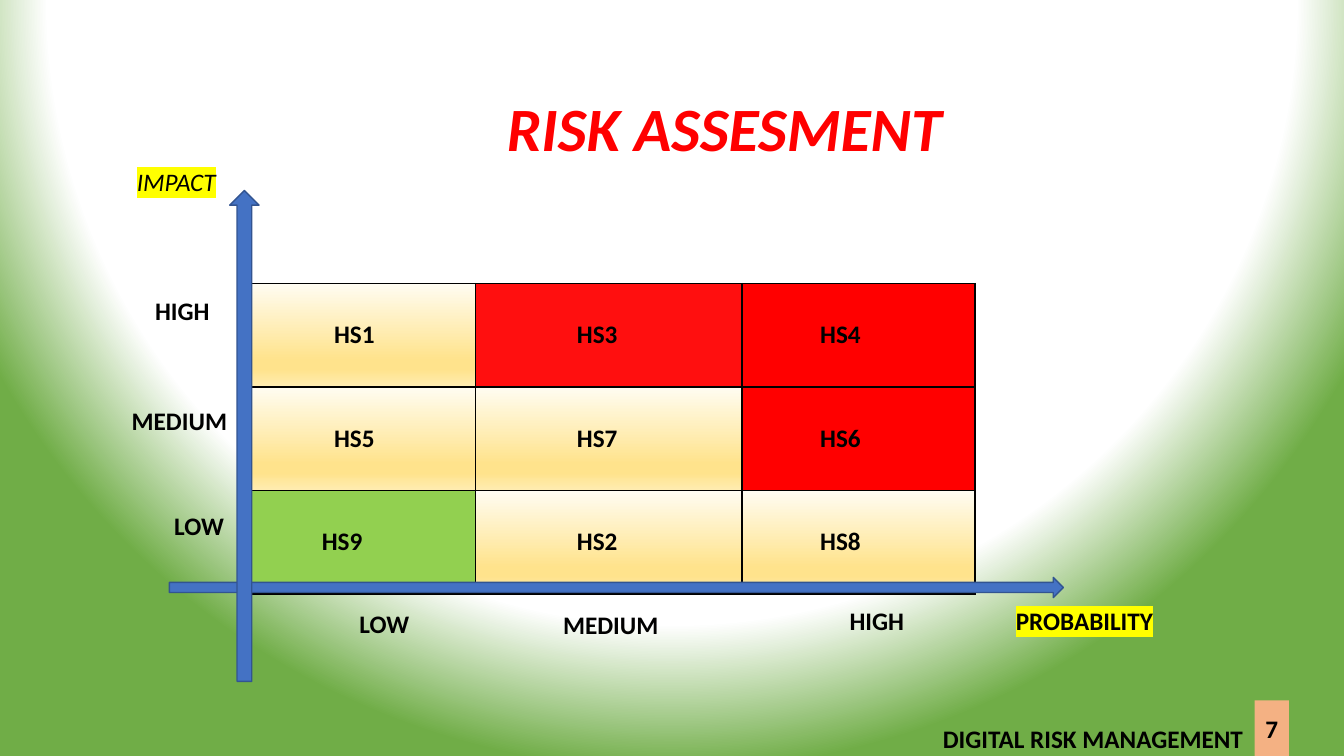
from pptx import Presentation
from pptx.dml.color import RGBColor
from pptx.enum.shapes import MSO_SHAPE as Shape
from pptx.enum.text import MSO_ANCHOR as Anchor, MSO_AUTO_SIZE as AutoSize, PP_ALIGN as Align
from pptx.oxml import parse_xml
from pptx.oxml.ns import nsdecls, qn
from pptx.util import Cm, Pt

BLACK = RGBColor(0x00, 0x00, 0x00)
WHITE = RGBColor(0xFF, 0xFF, 0xFF)
RED = RGBColor(0xFF, 0x00, 0x00)
GREEN = RGBColor(0x92, 0xD0, 0x50)
LEAF = RGBColor(0x70, 0xAD, 0x47)
BLUE = RGBColor(0x44, 0x72, 0xC4)
NAVY = RGBColor(0x32, 0x54, 0x91)
PEACH = RGBColor(0xF4, 0xB1, 0x83)
YELLOW = RGBColor(0xFF, 0xFF, 0x00)
CREAM, GOLD, SAND = (RGBColor(0xFF, 0xFC, 0xF2), RGBColor(0xFF, 0xE3, 0x8C),
                     RGBColor(0xFF, 0xEC, 0xB2))

# Content: lengths in cm
AMBER = [(0, CREAM), (74, GOLD), (83, GOLD), (100, SAND)]
RISKS = [
    [("HS1", AMBER), ("HS3", RED), ("HS4", RED)],
    [("HS5", AMBER), ("HS7", AMBER), ("HS6", RED)],
    [("HS9", GREEN), ("HS2", AMBER), ("HS8", AMBER)],
]
COL_WIDTHS = [5.69, 6.71, 5.87]
COL_INDENTS = [2.12, 2.55, 1.97]
INDENTS = {"HS9": 1.81}
OPACITY = {"HS3": 94}
ROW_HEIGHT = 2.61
GRID_LEFT, GRID_TOP = 6.3, 7.14

LEVEL_WIDTHS = {"LOW": 1.78, "MEDIUM": 2.95, "HIGH": 1.91}
LEVELS = [  # text, left, top
    ("LOW", 8.81, 15.09), ("MEDIUM", 13.94, 15.11), ("HIGH", 21.16, 15.01),
    ("LOW", 4.14, 12.62), ("MEDIUM", 3.07, 9.98), ("HIGH", 3.66, 7.21),
]
AXIS_NAMES = [  # text, box, format
    ("PROBABILITY", (25.35, 15.01, 4.24, 1.12), dict(bold=True)),
    ("IMPACT", (3.2, 3.94, 2.59, 1.09), dict(bold=False, italic=True)),
]
ARROWS = [
    (Shape.RIGHT_ARROW, (4.27, 14.55, 22.53, 0.51)),
    (Shape.UP_ARROW, (5.79, 4.8, 0.74, 12.37)),
]


def box(values):
    return [Cm(v) for v in values]


def write(tf, text, size=18, color=BLACK, bold=True, italic=False, align=Align.LEFT,
          spacing=None, after=0, highlight=None):
    p = tf.paragraphs[0]
    p.alignment, p.line_spacing, p.space_after = align, spacing, Pt(after)
    r = p.add_run()
    r.text = text
    f = r.font
    f.size, f.bold, f.italic, f.name = Pt(size), bold, italic, "Calibri"
    f.color.rgb = color
    if highlight is not None:
        mark = parse_xml(f'<a:highlight {nsdecls("a")}><a:srgbClr val="{highlight}"/></a:highlight>')
        r._r.rPr.find(qn("a:solidFill")).addnext(mark)


def set_gradient(fill, parent, stops, direction):
    fill.gradient()
    grad = parent.find(qn("a:gradFill"))
    stop_xml = "".join(f'<a:gs pos="{pos * 1000}"><a:srgbClr val="{color}"/></a:gs>'
                       for pos, color in stops)
    grad[:] = list(parse_xml(f'<a:gradFill {nsdecls("a")}><a:gsLst>{stop_xml}</a:gsLst>'
                             f'{direction}</a:gradFill>'))


def add_label(text, place, wrap=False, **fmt):
    tf = s.shapes.add_textbox(*box(place)).text_frame
    tf.word_wrap = wrap
    write(tf, text, **fmt)


def add_block(kind, place, fill, line):
    sp = s.shapes.add_shape(kind, *box(place))
    sp.shadow.inherit = False
    sp.fill.solid()
    sp.fill.fore_color.rgb = fill
    sp.line.color.rgb, sp.line.width = line, Pt(1)
    return sp


def format_cell(cell, text, fill, indent):
    tcPr = cell._tc.get_or_add_tcPr()
    for side in ("lnL", "lnR", "lnT", "lnB"):
        tcPr.append(parse_xml(f'<a:{side} {nsdecls("a")} w="12700"><a:solidFill>'
                              f'<a:srgbClr val="{BLACK}"/></a:solidFill></a:{side}>'))
    if isinstance(fill, list):
        set_gradient(cell.fill, tcPr, fill, '<a:lin ang="5400000" scaled="0"/>')
    else:
        cell.fill.solid()
        cell.fill.fore_color.rgb = fill
        if text in OPACITY:
            color = tcPr.find(qn("a:solidFill"))[0]
            color.append(parse_xml(f'<a:alpha {nsdecls("a")} val="{OPACITY[text] * 1000}"/>'))
    cell.vertical_anchor = Anchor.MIDDLE
    cell.margin_left = Cm(indent)
    write(cell.text_frame, text)


prs = Presentation()
prs.slide_width, prs.slide_height = Cm(33.87), Cm(19.05)
s = prs.slides.add_slide(prs.slide_layouts[5])

# Background
bg_fill = s.background.fill
bg_fill.solid()
set_gradient(bg_fill, s.element.find(".//" + qn("p:bgPr")),
             [(3, WHITE), (81, WHITE), (100, LEAF)],
             '<a:path path="circle"><a:fillToRect l="50000" t="-80000" r="50000" b="180000"/></a:path>')

# Title
title = s.shapes.title
title.left, title.top, title.width, title.height = box((12.52, 1.47, 21.54, 3.68))
title.text_frame.auto_size = AutoSize.NONE
title.text_frame.vertical_anchor = Anchor.MIDDLE
write(title.text_frame, "RISK ASSESMENT", size=44, color=RED, italic=True, spacing=0.9)

# Risk matrix
place = (GRID_LEFT, GRID_TOP, sum(COL_WIDTHS), ROW_HEIGHT * len(RISKS))
table = s.shapes.add_table(len(RISKS), len(COL_WIDTHS), *box(place)).table
table.first_row = table.horz_banding = False
for col, width in zip(table.columns, COL_WIDTHS):
    col.width = Cm(width)
for row, risks in zip(table.rows, RISKS):
    row.height = Cm(ROW_HEIGHT)
    for cell, (name, fill), indent in zip(row.cells, risks, COL_INDENTS):
        format_cell(cell, name, fill, INDENTS.get(name, indent))

# Axes and their labels
for kind, place in ARROWS:
    add_block(kind, place, BLUE, NAVY)
for text, place, fmt in AXIS_NAMES:
    add_label(text, place, wrap=True, spacing=1.15, after=10, highlight=YELLOW, **fmt)
for text, left, top in LEVELS:
    add_label(text, (left, top, LEVEL_WIDTHS[text], 1.09), spacing=1.15, after=10)

# Footer and page number
page = add_block(Shape.RECTANGLE, (31.62, 17.65, 0.86, 1.4), PEACH, LEAF)
page.line.fill.background()
page.text_frame.vertical_anchor = Anchor.MIDDLE
page.text_frame.margin_left = page.text_frame.margin_right = 0
write(page.text_frame, "7", align=Align.CENTER)
add_label("DIGITAL RISK MANAGEMENT", (23.47, 18.11, 8.15, 1.02), align=Align.CENTER)

prs.save("out.pptx")
